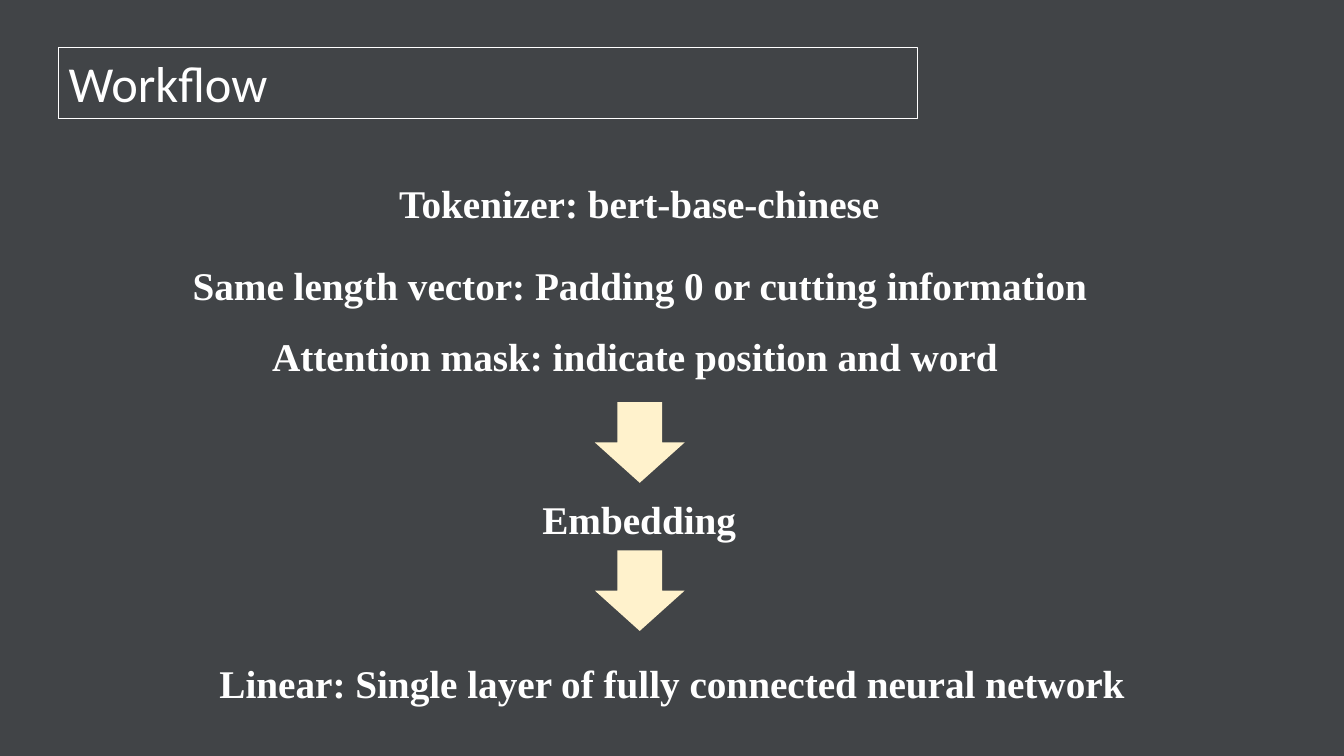
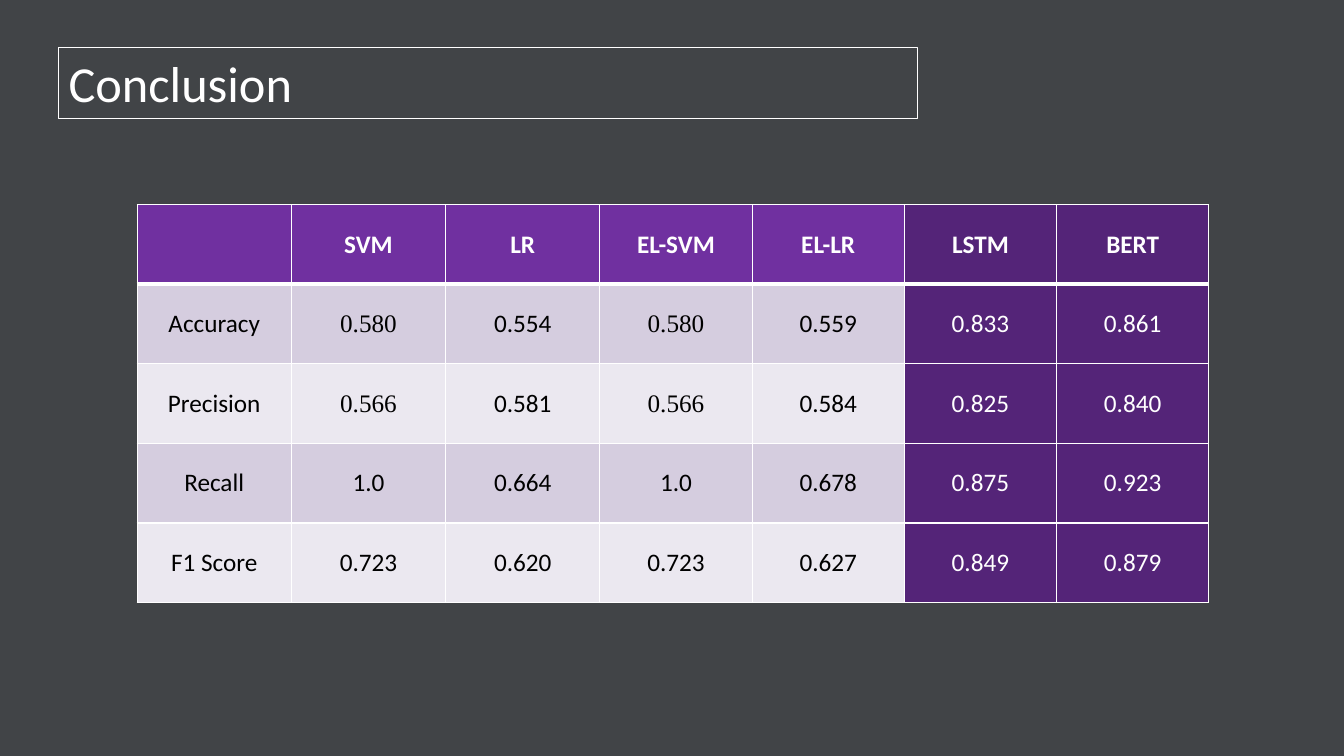
"""Builds the workflow and conclusion slides of a text classification talk."""
from dataclasses import dataclass

from lxml.etree import SubElement
from pptx import Presentation
from pptx.dml.color import RGBColor as RGB
from pptx.enum.shapes import MSO_SHAPE as Preset
from pptx.enum.text import MSO_ANCHOR as Anchor, MSO_AUTO_SIZE as AutoSize, PP_ALIGN as Align
from pptx.oxml.ns import qn
from pptx.util import Inches, Pt


@dataclass(frozen=True)
class Theme:
    backdrop: str = "414447"
    light: str = "FFFFFF"
    dark: str = "000000"
    arrow: str = "FFF2CC"
    header: str = "7030A0"
    highlight: str = "542478"
    bands: tuple = ("D5CDDF", "EBE8F0")
    sans: str = "Calibri"
    serif: str = "Times New Roman"
    title_size: int = 36
    step_size: int = 28
    cell_size: int = 18


class Deck:
    def __init__(self, theme):
        self.theme = theme
        self.prs = Presentation()
        self.prs.slide_width, self.prs.slide_height = Inches(13.33), Inches(7.5)
        self.slide = None
        backdrop = self.prs.slide_master.background.fill
        backdrop.solid()
        backdrop.fore_color.rgb = RGB.from_string(theme.backdrop)

    def add_text(self, paragraph, text, size, face, color, bold=False, align=Align.CENTER):
        paragraph.alignment = align
        run = paragraph.add_run()
        run.text = text
        run.font.size, run.font.name, run.font.bold = Pt(size), face, bold
        run.font.color.rgb = RGB.from_string(color)

    def new_slide(self, heading):
        theme = self.theme
        self.slide = self.prs.slides.add_slide(self.prs.slide_layouts[5])
        title = self.slide.shapes.title
        title.left, title.top = Inches(0.58), Inches(0.47)
        title.width, title.height = Inches(8.52), Inches(0.7)
        title.line.color.rgb = RGB.from_string(theme.light)
        title.line.width = Pt(0.25)
        frame = title.text_frame
        frame.auto_size = AutoSize.NONE
        frame.vertical_anchor = Anchor.MIDDLE
        self.add_text(frame.paragraphs[0], heading, theme.title_size, theme.sans,
                      theme.light, align=Align.LEFT)

    def steps(self, left, top, width, height, lines):
        theme = self.theme
        box = self.slide.shapes.add_textbox(
            Inches(left), Inches(top), Inches(width), Inches(height))
        frame = box.text_frame
        frame.word_wrap = True
        for index, line in enumerate(lines):
            paragraph = frame.add_paragraph() if index else frame.paragraphs[0]
            paragraph.line_spacing = 1.5
            self.add_text(paragraph, line, theme.step_size, theme.serif, theme.light, bold=True)

    def down_arrow(self, top):
        arrow = self.slide.shapes.add_shape(
            Preset.DOWN_ARROW, Inches(5.9), Inches(top), Inches(0.89), Inches(0.8))
        arrow.shadow.inherit = False
        arrow.fill.solid()
        arrow.fill.fore_color.rgb = RGB.from_string(self.theme.arrow)
        arrow.line.fill.background()

    def borders(self, cell, top, bottom):
        properties = cell._tc.get_or_add_tcPr()
        for side, width in (("L", 1), ("R", 1), ("T", top), ("B", bottom)):
            edge = SubElement(properties, qn(f"a:ln{side}"), w=str(Pt(width)))
            fill = SubElement(edge, qn("a:solidFill"))
            SubElement(fill, qn("a:srgbClr"), val=self.theme.light)

    def scores(self, left, top, widths, row_height, rows, highlighted, serif_cells):
        theme = self.theme
        table = self.slide.shapes.add_table(
            len(rows), len(widths), Inches(left), Inches(top),
            Inches(sum(widths)), Inches(row_height * len(rows))).table
        for column, width in zip(table.columns, widths):
            column.width = Inches(width)
        for r, row in enumerate(rows):
            table.rows[r].height = Inches(row_height)
            band = theme.bands[(r - 1) % 2] if r else theme.header
            for c, text in enumerate(row):
                cell = table.cell(r, c)
                strong = c in highlighted
                self.borders(cell, 3 if r == 1 else 1, 3 if r == 0 else 1)
                cell.fill.solid()
                cell.fill.fore_color.rgb = RGB.from_string(theme.highlight if strong else band)
                cell.vertical_anchor = Anchor.MIDDLE
                if text:
                    face = theme.serif if (r, c) in serif_cells else theme.sans
                    color = theme.light if strong or r == 0 else theme.dark
                    self.add_text(cell.text_frame.paragraphs[0], text, theme.cell_size,
                                  face, color, bold=r == 0)


def main():
    deck = Deck(Theme())

    deck.new_slide("Workflow")
    deck.steps(3.46, 1.5, 5.76, 0.72, ["Tokenizer: bert-base-chinese"])
    deck.steps(1.12, 2.31, 10.45, 1.43, [
        "Same length vector: Padding 0 or cutting information",
        "Attention mask: indicate position and word "])
    deck.steps(1.44, 6.26, 10.45, 0.72, ["Linear: Single layer of fully connected neural network"])
    deck.steps(4.71, 4.63, 3.26, 0.72, ["Embedding"])
    for top in (3.99, 5.46):
        deck.down_arrow(top)

    deck.new_slide("Conclusion")
    deck.scores(
        1.36, 2.03, [1.53] * 3 + [1.51] * 4, 0.79,
        [["", "SVM", "LR", "EL-SVM", "EL-LR", "LSTM", "BERT"],
         ["Accuracy", "0.580", "0.554", "0.580", "0.559", "0.833", "0.861"],
         ["Precision", "0.566", "0.581", "0.566", "0.584", "0.825", "0.840"],
         ["Recall", "1.0", "0.664", "1.0", "0.678", "0.875", "0.923"],
         ["F1 Score", "0.723", "0.620", "0.723", "0.627", "0.849", "0.879"]],
        highlighted=(5, 6), serif_cells={(r, c) for r in (1, 2) for c in (1, 3)})

    deck.prs.save("out.pptx")


if __name__ == "__main__":
    main()
